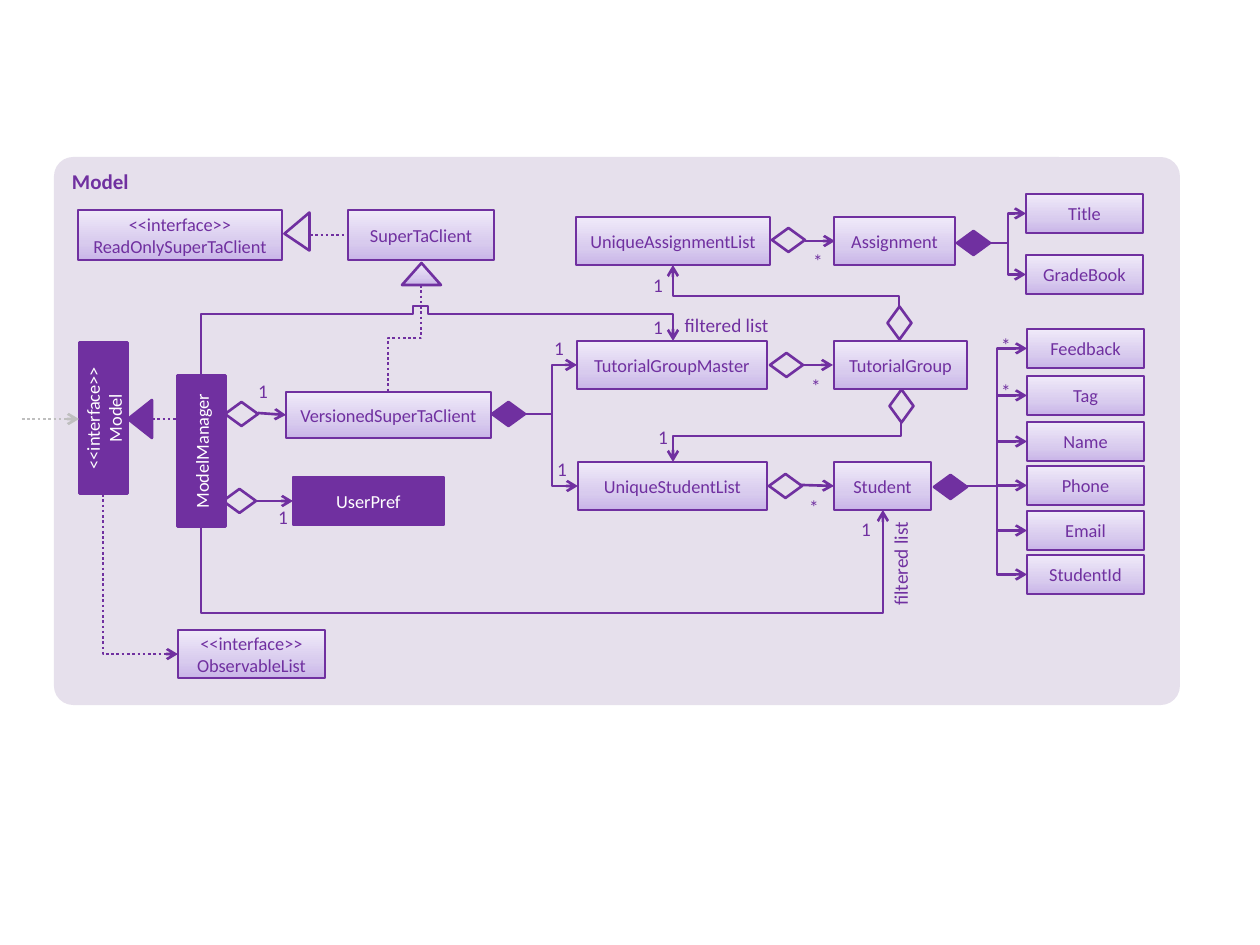
from copy import deepcopy
from lxml import etree
from pptx import Presentation
from pptx.dml.color import RGBColor
from pptx.enum.dml import MSO_LINE
from pptx.enum.shapes import MSO_CONNECTOR as LINE, MSO_SHAPE as SHAPE
from pptx.enum.text import MSO_ANCHOR as ANCHOR, PP_ALIGN as ALIGN
from pptx.oxml.ns import qn
from pptx.util import Emu, Pt

PX = 914400 // 126
PURPLE, PANEL, WHITE, GREY = "7030A0", "E6E0EC", "FFFFFF", "BFBFBF"
GRADIENT = [(0, "C9B5E8"), (0.35, "D8CBEE"), (1, "F0EAF9")]

SOLID_BOXES = [
    ("UserPref", 293, 477, 151, 48, 0),
    ("ModelManager", 126, 427, 151, 48, 270),
    ("<<interface>>\nModel", 28, 394, 151, 48, 270),
]
CLASS_BOXES = [
    ("VersionedSuperTaClient", 286, 392, 205, 46),
    ("UniqueStudentList", 578, 462, 189, 48),
    ("Student", 834, 462, 97, 48),
    ("<<interface>>\nReadOnlySuperTaClient", 78, 210, 204, 50),
    ("<<interface>>\nObservableList", 178, 630, 147, 48),
    ("SuperTaClient", 348, 210, 146, 50),
    ("TutorialGroupMaster", 577, 341, 190, 48),
    ("TutorialGroup", 834, 341, 133, 48),
    ("UniqueAssignmentList", 576, 217, 194, 48),
    ("Assignment", 834, 217, 121, 48),
]
PART_W, PART_H = 117, 39
PART_GROUPS = [
    dict(x=1027, start=(967, 486), bend=997, parts=[
        ("Feedback", 329), ("Tag", 376), ("Name", 422),
        ("Phone", 466), ("Email", 511), ("StudentId", 555)]),
    dict(x=1026, start=(990, 243), bend=1008, parts=[("Title", 194), ("GradeBook", 255)]),
]
DIAMONDS = [
    (None, 0, [(223, 489), (225, 402), (769, 474), (770, 353), (772, 228)]),
    (None, 90, [(885, 394), (883, 311)]),
    (PURPLE, 0, [(492, 402), (934, 475), (957, 231)]),
]
TRIANGLES = [
    (121, 407, 38, 24, 270, 0.5, PURPLE),
    (402, 263, 39, 22, 0, 0.5, GRADIENT),
    (278, 219, 38, 25, 270, 0.445, PANEL),
]
STRAIGHT_ARROWS = [
    (256, 501, 293, 501), (258, 413, 286, 415), (801, 485, 834, 486),
    (803, 365, 833, 365), (805, 241, 835, 241),
]
ELBOWS = [
    (201, 526, 883, 510, dict(vertical=True, bend=613)),
    (526, 414, 578, 486, dict(bend=552)),
    (526, 414, 577, 365, dict(bend=552)),
    (901, 422, 673, 462, dict(vertical=True, bend=436)),
    (899, 307, 673, 265, dict(vertical=True, bend=296)),
    (441, 314, 673, 341, dict()),
    (201, 375, 388, 314, dict(vertical=True, arrow=False)),
    (386, 314, 420, 306, dict(bend=413, arrow=False)),
    (413, 306, 441, 314, dict(bend=428, arrow=False)),
    (421, 285, 388, 392, dict(vertical=True, bend=338, arrow=False, dotted=True)),
    (103, 494, 178, 654, dict(vertical=True, dotted=True)),
]
DOTTED_LINES = [
    (22, 419, 79, 419, dict(color=GREY)),
    (152, 419, 177, 419, dict(arrow=False)),
    (310, 235, 348, 235, dict(arrow=False)),
]
MULTIPLICITIES = {
    "1": [(549, 457), (250, 379), (270, 505), (853, 517), (650, 425),
          (546, 336), (645, 273), (645, 315)],
    "*": [(801, 495), (993, 379), (993, 333), (803, 374), (805, 249)],
}
FILTERS = [(840, 552, 121, 36, 270), (640, 307, 141, 36, 0)]


def rgb(color):
    return RGBColor.from_string(color)


def px(*values):
    return [Emu(round(v * PX)) for v in values]


def write(tf, text, size=10.5, color=PURPLE, bold=False, align=ALIGN.CENTER,
          anchor=ANCHOR.MIDDLE, wrap=True, inset=None):
    tf.text = text
    tf.word_wrap = wrap
    tf.vertical_anchor = anchor
    if inset is not None:
        tf.margin_left = tf.margin_right = tf.margin_top = tf.margin_bottom = inset
    for p in tf.paragraphs:
        p.alignment = align
        for r in p.runs:
            r.font.name, r.font.size, r.font.bold = "Calibri", Pt(size), bold
            r.font.color.rgb = rgb(color)


def shape(kind, x, y, w, h, fill=None, rot=0, adj=None, line=PURPLE):
    sp = s.shapes.add_shape(kind, *px(x, y, w, h))
    sp.shadow.inherit = False
    sp.rotation = rot
    if adj is not None:
        sp.adjustments[0] = adj
    if fill is None:
        sp.fill.background()
    elif fill == GRADIENT:
        sp.fill.gradient()
        sp.fill.gradient_angle = 90
        stops = sp._element.spPr.find(".//" + qn("a:gsLst"))
        stops.append(deepcopy(stops[0]))
        for stop, (position, color) in zip(sp.fill.gradient_stops, fill):
            stop.position = position
            stop.color.rgb = rgb(color)
    else:
        sp.fill.solid()
        sp.fill.fore_color.rgb = rgb(fill)
    if line:
        sp.line.color.rgb = rgb(line)
        sp.line.width = Pt(1.5)
    else:
        sp.line.fill.background()
    return sp


def box(text, x, y, w, h, fill=GRADIENT, rot=0, color=PURPLE):
    write(shape(SHAPE.RECTANGLE, x, y, w, h, fill, rot).text_frame, text, color=color)


def label(text, x, y, w, h, rot=0, **fmt):
    tb = s.shapes.add_textbox(*px(x, y, w, h))
    tb.rotation = rot
    write(tb.text_frame, text, size=11, anchor=ANCHOR.TOP, **fmt)


def connect(kind, x1, y1, x2, y2, color=PURPLE, arrow=True, dotted=False):
    c = s.shapes.add_connector(kind, *px(x1, y1, x2, y2))
    c.line.color.rgb = rgb(color)
    c.line.width = Pt(1.5)
    if dotted:
        c.line.dash_style = MSO_LINE.ROUND_DOT
    spPr = c._element.spPr
    if arrow:
        etree.SubElement(spPr.find(qn("a:ln")), qn("a:tailEnd"), type="arrow")
    etree.SubElement(spPr, qn("a:effectLst"))
    return spPr


def elbow(x1, y1, x2, y2, vertical=False, bend=None, **fmt):
    ends = x1, y1, x2, y2
    if vertical:
        cx, cy = (x1 + x2) / 2, (y1 + y2) / 2
        dx, dy = (x2 - x1) / 2, (y2 - y1) / 2
        ends = cx - dy, cy + dx, cx + dy, cy - dx
    spPr = connect(LINE.ELBOW, *ends, **fmt)
    if vertical:
        spPr.find(qn("a:xfrm")).set("rot", "5400000")
    geom = spPr.find(qn("a:prstGeom"))
    if bend is None:
        geom.set("prst", "bentConnector2")
        return
    first, last = (y1, y2) if vertical else (x1, x2)
    ratio = round((bend - first) / (last - first) * 100000)
    guides = geom.find(qn("a:avLst"))
    etree.SubElement(guides, qn("a:gd"), name="adj1", fmla=f"val {ratio}")


prs = Presentation()
prs.slide_width, prs.slide_height = px(1260, 945)
s = prs.slides.add_slide(prs.slide_layouts[6])

panel = shape(SHAPE.ROUNDED_RECTANGLE, 54, 157, 1126, 548, PANEL, adj=0.035, line=None)
write(panel.text_frame, "Model", size=12, bold=True, align=ALIGN.LEFT, anchor=ANCHOR.TOP)
for text, x, y, w, h, rot in SOLID_BOXES:
    box(text, x, y, w, h, PURPLE, rot, WHITE)
for args in CLASS_BOXES:
    box(*args)
for group in PART_GROUPS:
    for text, y in group["parts"]:
        box(text, group["x"], y, PART_W, PART_H)
        elbow(*group["start"], group["x"], y + PART_H / 2, bend=group["bend"])
for fill, rot, places in DIAMONDS:
    for x, y in places:
        shape(SHAPE.FLOWCHART_DECISION, x, y, 33, 24, fill, rot)
for x, y, w, h, rot, adj, fill in TRIANGLES:
    shape(SHAPE.ISOSCELES_TRIANGLE, x, y, w, h, fill, rot, adj)
for ends in STRAIGHT_ARROWS:
    connect(LINE.STRAIGHT, *ends)
for *ends, fmt in DOTTED_LINES:
    connect(LINE.STRAIGHT, *ends, dotted=True, **fmt)
for *ends, fmt in ELBOWS:
    elbow(*ends, **fmt)
for text, places in MULTIPLICITIES.items():
    for x, y in places:
        label(text, x, y, 26, 25, inset=0)
for args in FILTERS:
    label("filtered list", *args, align=ALIGN.RIGHT)

prs.save("out.pptx")
